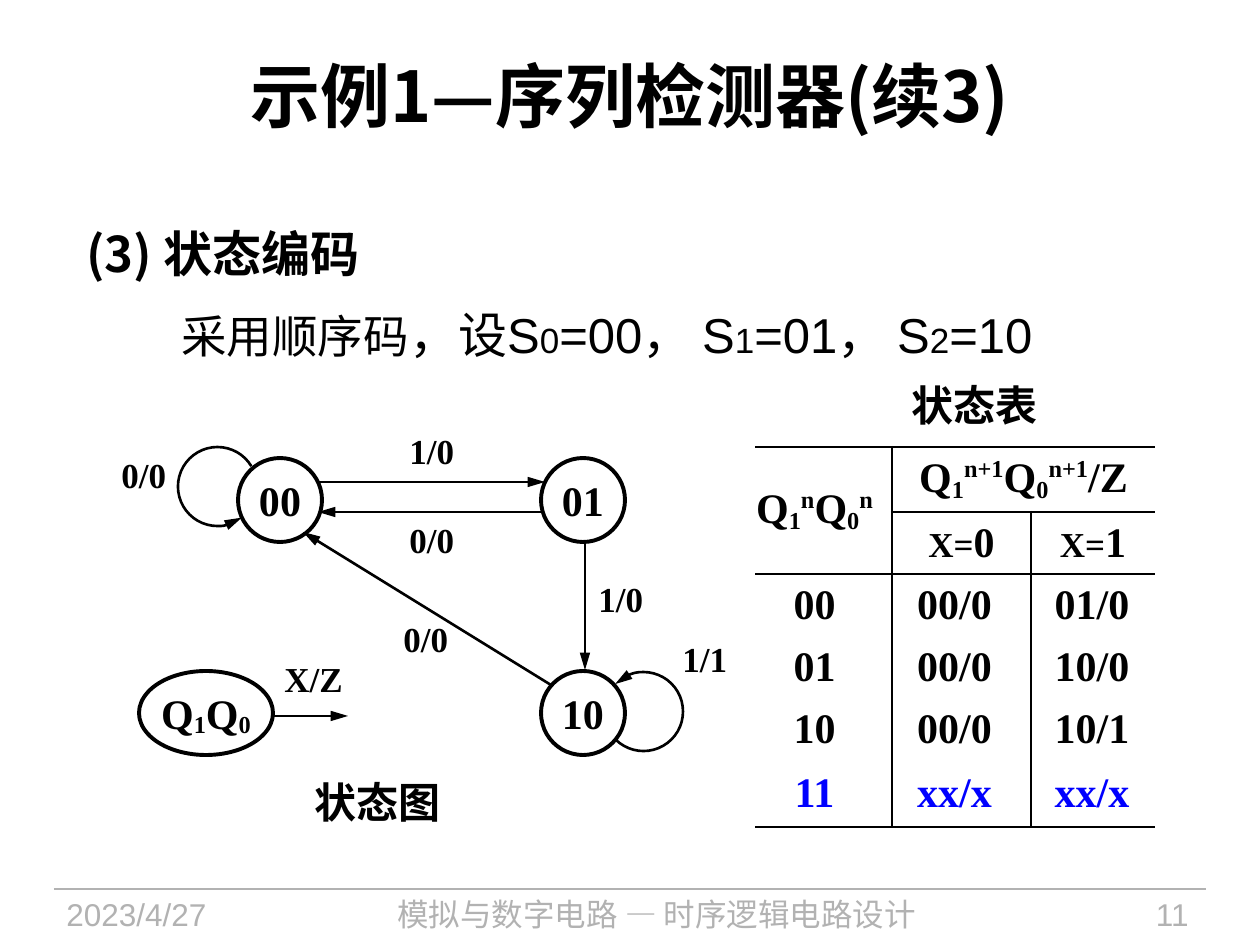
"""Builds the state-encoding slide of the sequence detector example."""
from lxml import etree
from pptx import Presentation, util as u
from pptx.dml.color import RGBColor
from pptx.enum import shapes, text
from pptx.oxml.ns import qn

C = {"ink": "000000", "footer": "B2B2B2", "unused": "0000FF"}
CJK, SANS, SERIF = "Noto Sans CJK SC", "Arial", "Times New Roman"
LEFT, MID, RIGHT = text.PP_ALIGN.LEFT, text.PP_ALIGN.CENTER, text.PP_ALIGN.RIGHT
LABEL = {"size": 20, "name": SERIF, "bold": True}
STATE = {"size": 24, "name": SERIF, "bold": True}
CAPTION = {"size": 24, "name": SANS, "bold": True}
FOOTER = {"size": 18, "color": "footer"}
ARROW = {"type": "triangle", "w": "med", "len": "lg"}


def px(*values):
    return [u.Emu(round(v * 914400 / 126)) for v in values]


def write(tf, runs, fmt, align=LEFT, wrap=True):
    tf.word_wrap = wrap
    p = tf.paragraphs[0]
    p.alignment = align
    for content, extra in runs:
        r = p.add_run()
        r.text = content
        look = {"color": "ink", **fmt, **extra}
        r.font.color.rgb = RGBColor.from_string(C[look.pop("color")])
        base = look.pop("base", 0)
        look["size"] = u.Pt(look["size"])
        for key, value in look.items():
            setattr(r.font, key, value)
        rpr = r.font._element
        if base:
            rpr.set("baseline", str(base * 1000))
        ea = etree.Element(qn("a:ea"), typeface=CJK)
        rpr.find(qn("a:latin")).addnext(ea)


prs = Presentation()
prs.slide_width, prs.slide_height = u.Inches(10), u.Inches(7.5)
s = prs.slides.add_slide(prs.slide_layouts[5])

title = s.shapes.title
title.left, title.top, title.width, title.height = px(63, 21, 1134, 147)
title.text_frame.vertical_anchor = text.MSO_ANCHOR.MIDDLE
write(title.text_frame, [("示例1—序列检测器(续3)", {})],
      {"size": 40, "name": CJK, "bold": True}, MID)

small, large = {"size": 20}, {"size": 28}
encoding = [("采用顺序码", {"size": 26}), ("，设S", large), ("0", small),
            ("=00， S", large), ("1", small), ("=01， S", large),
            ("2", small), ("=10", large)]
heading = [("(3) ", {"name": CJK}), ("状态编码", {})]
for box, runs, fmt, align in [
    ((54, 889, 237, 55), [("2023/4/27", {})], {**FOOTER, "name": SANS}, LEFT),
    ((302, 889, 709, 55), [("模拟与数字电路 — 时序逻辑电路设计", {})], {**FOOTER, "name": CJK}, MID),
    ((1033, 889, 168, 55), [("11", {})], {**FOOTER, "name": SANS}, RIGHT),
    ((74, 217, 546, 72), heading, {"size": 28, "name": SANS, "bold": True}, LEFT),
    ((169, 298, 978, 72), encoding, {"size": 28, "name": SANS}, LEFT),
    ((302, 770, 152, 63), [("状态图", {})], CAPTION, LEFT),
    ((899, 373, 152, 63), [("状态表", {})], CAPTION, LEFT),
]:
    sp = s.shapes.add_textbox(*px(*box))
    write(sp.text_frame, runs, fmt, align)

for content, x, y, w in [("1/0", 397, 423, 71), ("1/0", 586, 571, 71),
                         ("0/0", 391, 611, 71), ("0/0", 397, 512, 71),
                         ("0/0", 109, 447, 71), ("1/1", 670, 631, 71),
                         ("X/Z", 272, 651, 100)]:
    sp = s.shapes.add_textbox(*px(x, y, w, 54))
    write(sp.text_frame, [(content, {})], LABEL)

for ends, color, width, arrow in [
    ((54, 889, 1206, 889), "footer", 0.75, False),
    ((318, 482, 545, 482), "ink", 1.5, True),
    ((541, 512, 318, 512), "ink", 1.5, True),
    ((585, 542, 585, 670), "ink", 1.5, True),
    ((551, 685, 303, 532), "ink", 1.5, True),
    ((272, 716, 348, 716), "ink", 1.5, True),
]:
    line = s.shapes.add_connector(shapes.MSO_CONNECTOR.STRAIGHT, *px(*ends))
    line.line.color.rgb = RGBColor.from_string(C[color])
    line.line.width = u.Pt(width)
    if arrow:
        etree.SubElement(line.line._get_or_add_ln(), qn("a:tailEnd"), ARROW)
    etree.SubElement(line._element.spPr, qn("a:effectLst"))

sub = {"base": -10}
for content, x, y, w in [([("00", {})], 238, 458, 84), ([("01", {})], 541, 458, 84),
                         ([("10", {})], 541, 671, 84),
                         ([("Q", {}), ("1", sub), ("Q", {}), ("0", sub)], 139, 671, 134)]:
    sp = s.shapes.add_shape(shapes.MSO_SHAPE.OVAL, *px(x, y, w, 84))
    sp.shadow.inherit = False
    sp.fill.background()
    sp.line.color.rgb = RGBColor.from_string(C["ink"])
    sp.line.width = u.Pt(2.25)
    tf = sp.text_frame
    tf.margin_left = tf.margin_right = tf.margin_top = tf.margin_bottom = 0
    tf.vertical_anchor = text.MSO_ANCHOR.MIDDLE
    write(tf, content, STATE, MID, wrap=False)

for x, y, start, end in [(178, 447, 52, 329), (604, 672, 224, 134)]:
    loop = s.shapes.add_shape(shapes.MSO_SHAPE.ARC, *px(x, y, 79, 79))
    loop.adjustments[0], loop.adjustments[1] = start * 0.6, end * 0.6
    loop.shadow.inherit = False
    loop.fill.background()
    loop.line.color.rgb = RGBColor.from_string(C["ink"])
    loop.line.width = u.Pt(1.5)
    etree.SubElement(loop.line._get_or_add_ln(), qn("a:headEnd"), ARROW)

low, high = {"base": -15}, {"base": 35}
present = [("Q", {}), ("1", low), ("n", high), ("Q", {}), ("0", low), ("n", high)]
following = [("Q", {}), ("1", low), ("n+1", high), ("Q", {}), ("0", low),
             ("n+1", high), ("/Z", {})]
rows = [[present, following, []],
        [[], [("X=", small), ("0", {})], [("X=", small), ("1", {})]]]
for values in ["00 00/0 01/0", "01 00/0 10/0", "10 00/0 10/1", "11 xx/x xx/x"]:
    color = "unused" if values.startswith("11") else "ink"
    rows.append([[(v, {"color": color})] for v in values.split()])

widths, heights, insets = [137, 139, 124], [65, 62, 62, 62, 62, 67], [18, 14, 2]
frame = s.shapes.add_table(6, 3, *px(755, 447, sum(widths), sum(heights)))
table = frame.table
for flag in ("first_row", "horz_banding"):
    setattr(table, flag, False)
for column, width in zip(table.columns, px(*widths)):
    column.width = width
for row, height in zip(table.rows, px(*heights)):
    row.height = height
table.cell(0, 0).merge(table.cell(1, 0))
table.cell(0, 1).merge(table.cell(0, 2))

for i, row in enumerate(rows):
    for j, runs in enumerate(row):
        cell = table.cell(i, j)
        cell.margin_left = cell.margin_top = cell.margin_bottom = 0
        cell.margin_right = px(insets[j])[0] if j == 0 or i > 1 else 0
        cell.vertical_anchor = text.MSO_ANCHOR.MIDDLE
        if runs:
            write(cell.text_frame, runs, STATE, MID)
        edges = {"lnL": j == 1 or (j == 2 and i > 0),
                 "lnR": j == 0 or (j == 1 and i > 0),
                 "lnT": i in (0, 2) or (i == 1 and j > 0),
                 "lnB": i in (1, 5) or (i == 0 and j > 0)}
        tcpr = cell._tc.get_or_add_tcPr()
        for tag, drawn in edges.items():
            ln = etree.SubElement(tcpr, qn("a:" + tag), w=str(u.Pt(1.5)))
            fill = etree.SubElement(ln, qn("a:solidFill" if drawn else "a:noFill"))
            if drawn:
                etree.SubElement(fill, qn("a:srgbClr"), val=C["ink"])
        cell.fill.background()

prs.save("out.pptx")
